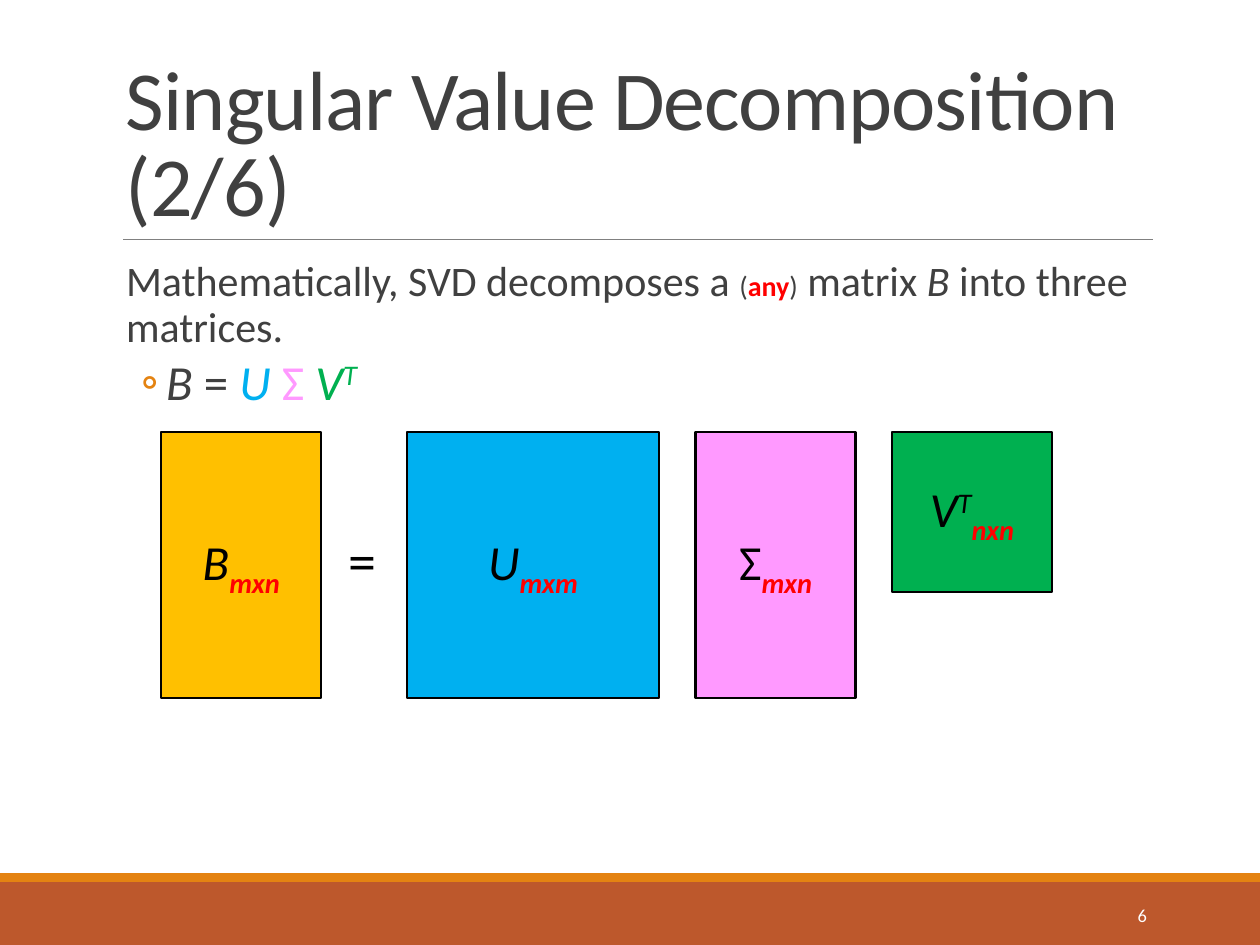
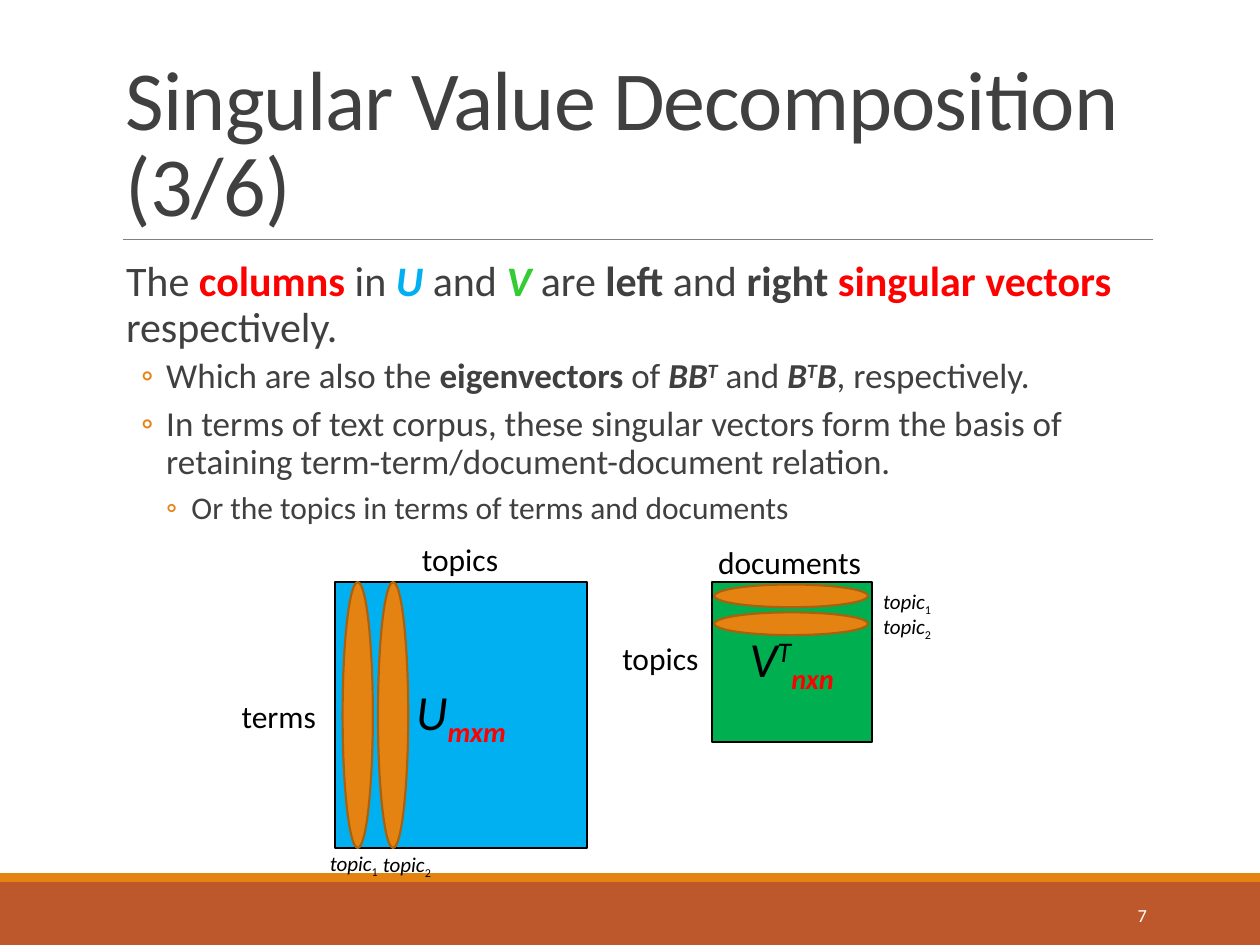
from lxml import etree
from pptx import Presentation
from pptx.dml.color import RGBColor
from pptx.enum.shapes import MSO_CONNECTOR, MSO_SHAPE
from pptx.enum.text import MSO_ANCHOR, MSO_AUTO_SIZE, PP_ALIGN
from pptx.oxml.ns import qn
from pptx.util import Pt

RECT, OVAL = MSO_SHAPE.RECTANGLE, MSO_SHAPE.OVAL
STRAIGHT = MSO_CONNECTOR.STRAIGHT
TOP, MIDDLE, BOTTOM = MSO_ANCHOR.TOP, MSO_ANCHOR.MIDDLE, MSO_ANCHOR.BOTTOM
LEFT, CENTER, RIGHT = PP_ALIGN.LEFT, PP_ALIGN.CENTER, PP_ALIGN.RIGHT
FIT_TEXT = MSO_AUTO_SIZE.SHAPE_TO_FIT_TEXT

FONT = "Calibri"
BLACK = RGBColor(0x00, 0x00, 0x00)
WHITE = RGBColor(0xFF, 0xFF, 0xFF)
DARK = RGBColor(0x40, 0x40, 0x40)
GREY = RGBColor(0x80, 0x80, 0x80)
RUST = RGBColor(0xBD, 0x58, 0x2C)
ORANGE = RGBColor(0xE4, 0x83, 0x12)
BROWN = RGBColor(0xA9, 0x61, 0x0D)
RED = RGBColor(0xFF, 0x00, 0x00)
AMBER = RGBColor(0xFF, 0xC0, 0x00)
BLUE = RGBColor(0x00, 0xB0, 0xF0)
PINK = RGBColor(0xFF, 0x99, 0xFF)
GREEN = RGBColor(0x00, 0xB0, 0x50)
LIME = RGBColor(0x33, 0xCC, 0x33)

SLIDE_W, SLIDE_H = 720, 540
TITLE_BOX = (64.8, 22.3, 594, 114.5)
BODY_BOX = (64.8, 145.4, 594, 316.8)
NUMBER_BOX = (584.6, 508.3, 77.8, 28.8)
# Level: left margin, hanging indent, space before, space after
LEVELS = [(7.2, 0, 12, 2), (30.2, 14.4, 2, 4), (44.6, 14.4, 2, 4)]

# Matrix sides: m is the long one, n the short one
U_W, M, N = 144, 152, 91.4
MATRICES = {
    "B": (N, M, AMBER, [("B", "i"), ("mxn", "bi_", RED)]),
    "U": (U_W, M, BLUE, [("U", "i"), ("mxm", "bi_", RED)]),
    "Σ": (N, M, PINK, [("Σ",), ("mxn", "bi_", RED)]),
    "VT": (N, N, GREEN, [("V", "i"), ("T", "i^"), ("nxn", "bi_", RED)]),
}


def add_runs(p, runs, size, color):
    """Each run is (text, style, color, size); style letters: b, i, ^ up, _ down."""
    for text, *rest in runs:
        style, run_color, run_size = (rest + [None] * 3)[:3]
        style = style or ""
        r = p.add_run()
        r.text = text
        r.font.name = FONT
        r.font.size = Pt(run_size or size)
        r.font.color.rgb = run_color or color
        r.font.bold = "b" in style
        r.font.italic = "i" in style
        if "^" in style or "_" in style:
            baseline = "30000" if "^" in style else "-25000"
            r._r.get_or_add_rPr().set("baseline", baseline)


def add_box(s, box, runs=(), size=18, color=BLACK, anchor=TOP, align=LEFT):
    tf = s.shapes.add_textbox(*map(Pt, box)).text_frame
    tf.word_wrap = True
    tf.vertical_anchor = anchor
    p = tf.paragraphs[0]
    p.alignment = align
    add_runs(p, runs, size, color)
    return tf


def add_label(s, box, runs, size=18):
    tf = add_box(s, box, runs, size)
    tf.word_wrap = False
    tf.auto_size = FIT_TEXT


def add_filled(s, kind, box, fill, line=None):
    sp = s.shapes.add_shape(kind, *map(Pt, box))
    sp.shadow.inherit = False
    sp.fill.solid()
    sp.fill.fore_color.rgb = fill
    if line is None:
        sp.line.fill.background()
    else:
        sp.line.color.rgb = line
        sp.line.width = Pt(1.25)
    return sp


def add_matrix(s, x, y, name):
    w, h, fill, runs = MATRICES[name]
    tf = add_filled(s, RECT, (x, y, w, h), fill, BLACK).text_frame
    tf.vertical_anchor = MIDDLE
    p = tf.paragraphs[0]
    p.alignment = CENTER
    add_runs(p, runs, 28, BLACK)


def add_frame(prs, title, number):
    """Slide with footer bands, title rule, title and page number."""
    s = prs.slides.add_slide(prs.slide_layouts[6])
    add_filled(s, RECT, (0, 504, SLIDE_W, 36), RUST)
    add_filled(s, RECT, (0, 499, SLIDE_W, 5), ORANGE)
    rule = s.shapes.add_connector(STRAIGHT, Pt(70.5), Pt(136.8), Pt(658.8), Pt(136.8))
    rule.line.color.rgb = GREY
    rule.line.width = Pt(0.5)
    etree.SubElement(rule._element.spPr, qn("a:effectLst"))
    p = add_box(s, TITLE_BOX, [(title,)], 48, DARK, BOTTOM).paragraphs[0]
    p.line_spacing = 0.85
    p.runs[0]._r.get_or_add_rPr().set("spc", "-50")
    add_box(s, NUMBER_BOX, [(str(number),)], 10.5, WHITE, MIDDLE, RIGHT)
    return s


def add_bullet(pPr):
    color = etree.SubElement(pPr, qn("a:buClr"))
    etree.SubElement(color, qn("a:srgbClr")).set("val", str(ORANGE))
    etree.SubElement(pPr, qn("a:buFont")).set("typeface", FONT)
    etree.SubElement(pPr, qn("a:buChar")).set("char", "◦")


def add_body(s, box, items):
    """Body text; each item is (level, size, runs)."""
    tf = add_box(s, box)
    tf.margin_left = tf.margin_right = 0
    for i, (level, size, runs) in enumerate(items):
        p = tf.add_paragraph() if i else tf.paragraphs[0]
        margin, hanging, before, after = LEVELS[level]
        p.line_spacing = 0.9
        p.space_before, p.space_after = Pt(before), Pt(after)
        pPr = p._p.get_or_add_pPr()
        pPr.set("marL", str(Pt(margin)))
        pPr.set("indent", str(-Pt(hanging)))
        if level:
            add_bullet(pPr)
        add_runs(p, runs, size, DARK)


def add_equation(s, x, y):
    """B = U Σ VT as a row of matrices."""
    add_matrix(s, x, y, "B")
    add_label(s, (x + N + 8.6, y + 49.7, 31, 46), [("=",)], 32)
    x += N + 49
    for name in ("U", "Σ", "VT"):
        add_matrix(s, x, y, name)
        x += MATRICES[name][0] + 20.9


def add_topic(s, x, y, number):
    add_label(s, (x, y, 42.5, 21.6), [("topic", "i"), (str(number), "_")], 12)


def add_u_figure(s, x, y):
    """U with its topics as columns."""
    add_matrix(s, x, y, "U")
    add_label(s, (x - 60.5, y + 61.9, 57.6, 28.8), [("terms",)])
    add_label(s, (x + 42.5, y - 27.4, 58.3, 28.8), [("topics",)])
    for i in range(2):
        add_filled(s, OVAL, (x + 4.3 + 20.2 * i, y, 17.3, M), ORANGE, BROWN)
        add_topic(s, x - 10.1 + 30.3 * i, y + 149.8 + 0.7 * i, i + 1)


def add_v_figure(s, x, y):
    """VT with its topics as rows."""
    add_matrix(s, x, y, "VT")
    add_label(s, (x - 58.3, y + 28.8, 58.3, 28.8), [("topics",)])
    add_label(s, (x - 3.6, y - 25.9, 97.2, 28.8), [("documents",)])
    for i in range(2):
        add_filled(s, OVAL, (x + 1.4, y + 1.4 + 15.9 * i, 87.8, 13), ORANGE, BROWN)
        add_topic(s, x + 90.7, y + 14.4 * i, i + 1)


def decomposition_slide(prs):
    s = add_frame(prs, "Singular Value Decomposition (2/6)", 6)
    add_body(s, BODY_BOX, [
        (0, 24, [("Mathematically, SVD decomposes a ",), ("(", "", DARK, 16),
                 ("any", "b", RED, 16), (")", "", DARK, 16), (" matrix ",),
                 ("B", "i"), (" into three matrices.",)]),
        (1, 28, [("B ", "i"), ("= ",), ("U ", "i", BLUE), ("Σ ", "", PINK),
                 ("V", "i", GREEN), ("T", "i^", GREEN)]),
    ])
    add_equation(s, 92.2, 247)


def singular_vectors_slide(prs):
    s = add_frame(prs, "Singular Value Decomposition (3/6)", 7)
    add_body(s, BODY_BOX, [
        (0, 24, [("The ",), ("columns", "b", RED), (" in ",), ("U", "bi", BLUE),
                 (" and ",), ("V", "bi", LIME), (" are ",), ("left", "b"),
                 (" and ",), ("right ", "b"), ("singular vectors ", "b", RED),
                 ("respectively.",)]),
        (1, 20, [("Which are also the ",), ("eigenvectors ", "b"), ("of ",),
                 ("BB", "bi"), ("T", "bi^"), (" and ",), ("B", "bi"),
                 ("T", "bi^"), ("B", "bi"), (", respectively.",)]),
        (1, 20, [("In terms of text corpus, these singular vectors form the basis "
                  "of retaining term-term/document-document relation.",)]),
        (2, 18, [("Or the topics in terms of terms and documents",)]),
    ])
    add_u_figure(s, 191.5, 332.6)
    add_v_figure(s, 406.8, 332.6)


def main():
    prs = Presentation()
    prs.slide_width, prs.slide_height = Pt(SLIDE_W), Pt(SLIDE_H)
    decomposition_slide(prs)
    singular_vectors_slide(prs)
    prs.save("out.pptx")


if __name__ == "__main__":
    main()
